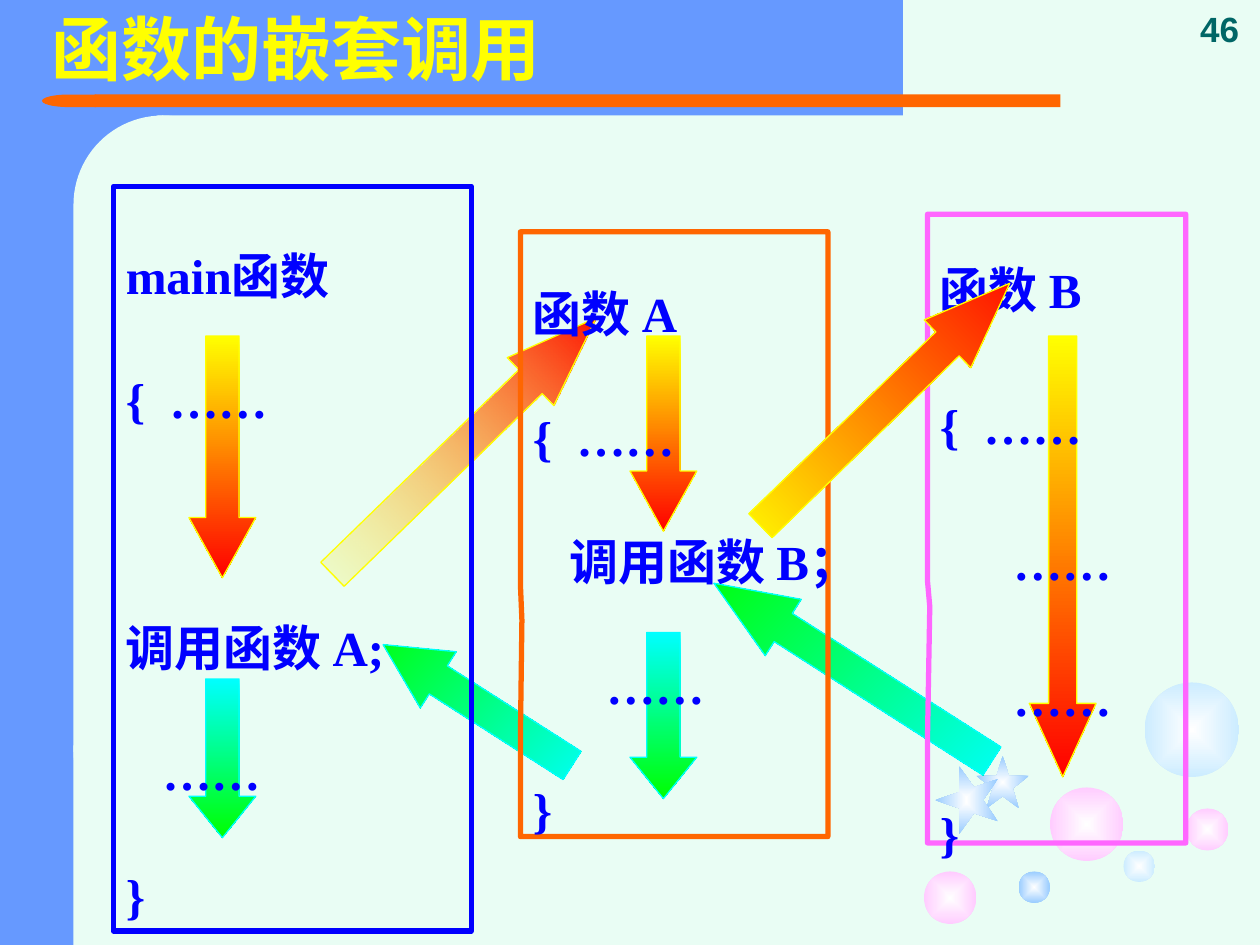
from pptx import Presentation
from pptx import util as u
from pptx.dml.color import RGBColor
from pptx.enum import shapes, text
from pptx.oxml import parse_xml
from pptx.oxml.ns import nsdecls, qn

THEME = {
    "paper": "E9FDF4", "panel": "6699FF", "rule": "FF6600",
    "yellow": "FFFF00", "red": "FF0000", "green": "00FF00", "cyan": "00FFFF",
    "white": "FFFFFF", "pink": "FFCCFF", "ice": "CCECFF", "sky": "99CCFF",
    "blue": "0000FF", "magenta": "FF66FF", "teal": "006666",
    "serif": "Times New Roman", "sans": "Arial",
    "title": 40, "body": 28, "number": 20,
}
KIND = shapes.MSO_SHAPE


def color(name):
    return RGBColor.from_string(THEME[name])


def draw(kind, bounds, fill=None, line=None, width=0.75, adjust=(), turn=0, angle=None):
    """Add a shape; a pair of fill colours makes a gradient, from the centre if no angle."""
    shape = page.shapes.add_shape(kind, *map(u.Pt, bounds))
    shape.shadow.inherit = False
    shape.rotation = turn
    for index, value in enumerate(adjust):
        shape.adjustments[index] = value
    if fill is None:
        shape.fill.background()
    elif isinstance(fill, str):
        shape.fill.solid()
        shape.fill.fore_color.rgb = color(fill)
    else:
        shape.fill.gradient()
        for stop, name in zip(shape.fill.gradient_stops, fill):
            stop.color.rgb = color(name)
        gradient = shape._element.spPr.find(qn("a:gradFill"))
        gradient.set("rotWithShape", "0")
        linear = gradient.find(qn("a:lin"))
        if angle is None:
            gradient.replace(linear, parse_xml(
                f'<a:path {nsdecls("a")} path="rect">'
                '<a:fillToRect l="50000" t="50000" r="50000" b="50000"/></a:path>'))
        else:
            linear.set("ang", str(angle * 60000))
            linear.set("scaled", "0")
    if line:
        shape.line.color.rgb = color(line)
        shape.line.width = u.Pt(width)
    else:
        shape.line.fill.background()
    return shape


def write(box, lines, font, frame, spacing=1.0, align=text.PP_ALIGN.LEFT):
    """Fill a box with lines of (words, indent, space before)."""
    for name, value in frame.items():
        setattr(box.text_frame, name, value)
    for index, (words, indent, before) in enumerate(lines):
        para = box.text_frame.add_paragraph() if index else box.text_frame.paragraphs[0]
        props = para._p.get_or_add_pPr()
        props.set("marL", str(u.Pt(indent)))
        if "\t" in words:
            props.append(parse_xml(
                f'<a:tabLst {nsdecls("a")}><a:tab pos="{u.Pt(25)}" algn="l"/></a:tabLst>'))
        para.alignment = align
        para.line_spacing = spacing
        para.space_before = u.Pt(before if index else 0)
        span = para.add_run()
        span.text = words
        family, size, ink = font
        formats = {"name": THEME[family], "size": u.Pt(THEME[size]), "bold": True}
        for name, value in formats.items():
            setattr(span.font, name, value)
        span.font.color.rgb = color(ink)


deck = Presentation()
deck.slide_width, deck.slide_height = u.Pt(720), u.Pt(540)
page = deck.slides.add_slide(deck.slide_layouts[6])
page.background.fill.solid()
page.background.fill.fore_color.rgb = color("paper")

# Blue frame with its rounded inner corner, and the orange rule
draw(KIND.RECTANGLE, (0, 0, 90, 540), "panel")
draw(KIND.RECTANGLE, (36, 0, 480, 66), "panel")
draw(KIND.ROUNDED_RECTANGLE, (42, 66, 102, 414), "paper", adjust=[0.5])
draw(KIND.RECTANGLE, (54, 54, 552, 7.2), "rule")
draw(KIND.FLOWCHART_DELAY, (24, 54, 31, 7.2), "rule", turn=180)
draw(KIND.RECTANGLE, (42, 426, 102, 114), "paper")

# Bubbles and stars
for left, top, size, tint in [
    (600, 450, 42, "pink"), (528, 498, 30, "pink"), (642, 486, 18, "ice"),
    (678, 462, 24, "pink"), (654, 390, 54, "ice"), (582, 498, 18, "sky"),
]:
    draw(KIND.OVAL, (left, top, size, size), ("white", tint))
for bounds, turn in [((558, 432, 30, 30), 0), ((532.8, 439.2, 39, 36), 270)]:
    draw(KIND.STAR_5_POINT, bounds, ("white", "sky"), turn=turn)

# Flow arrows: warm for calling, cool for returning
ARROW = 38.2
warm = {"fill": ("yellow", "red"), "line": "yellow"}
cool = {"fill": ("cyan", "green"), "line": "cyan"}
back = {"fill": ("green", "cyan"), "line": "cyan", "angle": 45, "turn": 32.6}
call = {**warm, "angle": 315, "turn": 45.8}

draw(KIND.LEFT_ARROW, (393.1, 365, 188.6, ARROW), adjust=(0.5, 1.23), **back)
draw(KIND.LEFT_ARROW, (208.8, 383.8, 128.2, ARROW), adjust=(0.5, 0.98), **back)
for left, top, height, adjust, style in [
    (108, 388, 90.7, (0.5, 0.62), cool), (108, 192, 138.2, (0.5, 0.9), warm),
    (360, 361.4, 95, (0.5, 0.62), cool), (360, 192, 111.6, (0.5, 0.9), warm),
    (588.2, 192, 252, (0.42, 1.1), warm),
]:
    draw(KIND.DOWN_ARROW, (left, top, ARROW, height), adjust=adjust, angle=90, **style)
first_call = draw(KIND.UP_ARROW, (246.2, 149.8, ARROW, 210.2), adjust=(0.5, 1.37), **call)
start_color = first_call._element.spPr.find(".//" + qn("a:srgbClr"))
start_color.append(parse_xml(f'<a:alpha {nsdecls("a")} val="15000"/>'))

# Title
title = page.shapes.add_textbox(*map(u.Pt, (22.3, 0, 416, 60)))
write(title, [("函数的嵌套调用", 0, 0)], ("serif", "title", "yellow"),
      {"word_wrap": True, "vertical_anchor": text.MSO_ANCHOR.MIDDLE}, 0.9)

# Function boxes
GAP, SKIP = 7, 78
main_lines = [("main函数", 0, 0), ("{\t……", 0, GAP), ("调用函数 A;", 0, SKIP),
              ("……", 21, GAP), ("}", 0, GAP)]
a_lines = [("函数 A", 0, 0), ("{\t……", 0, GAP), ("调用函数 B；", 21, GAP),
           ("……", 42, GAP), ("}", 0, GAP)]
b_lines = [("函数 B", 0, 0), ("{\t……", 0, GAP), ("……", 42, GAP),
           ("……", 42, GAP), ("}", 0, GAP)]
CALLOUT = KIND.RECTANGULAR_CALLOUT
for kind, bounds, edge, adjust, wrap, spacing, lines in [
    (KIND.RECTANGLE, (64.8, 106.5, 204.5, 425.5), "blue", (), True, 1.9, main_lines),
    (CALLOUT, (297.4, 132.5, 175.7, 345.6), "rule", (-0.495, 0.142), False, 1.9, a_lines),
    (CALLOUT, (530, 122.4, 147.6, 359.3), "magenta", (-0.491, 0.124), False, 2.1, b_lines),
]:
    box = draw(kind, bounds, line=edge, width=3, adjust=adjust)
    write(box, lines, ("serif", "body", "blue"),
          {"word_wrap": wrap, "vertical_anchor": text.MSO_ANCHOR.MIDDLE}, spacing)

# Call from A to B, above the boxes
draw(KIND.UP_ARROW, (486.7, 131.8, ARROW, 198.7), adjust=(0.5, 1.3), **call)

# Page number
number = page.shapes.add_textbox(*map(u.Pt, (673.9, 0, 46.1, 31.7)))
write(number, [("46", 0, 0)], ("sans", "number", "teal"),
      {"word_wrap": True, "vertical_anchor": text.MSO_ANCHOR.BOTTOM},
      align=text.PP_ALIGN.CENTER)

deck.save("out.pptx")
